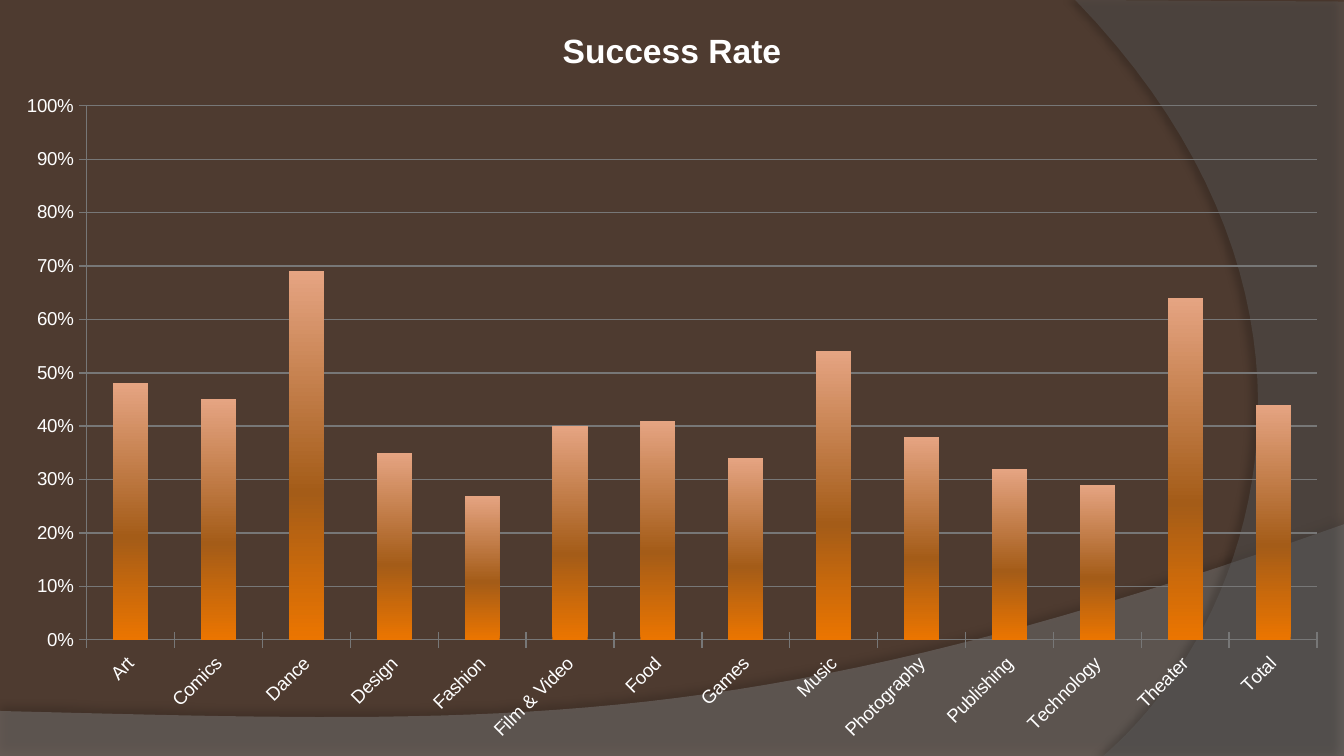
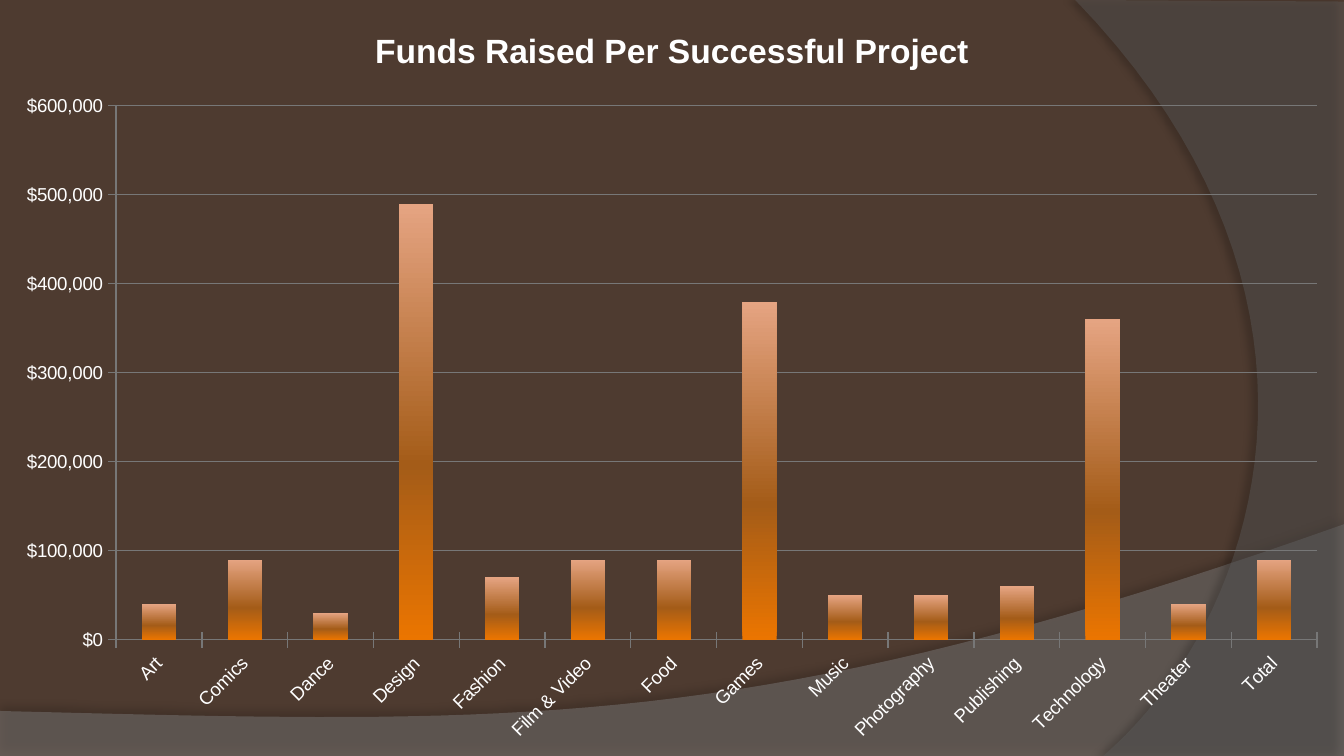
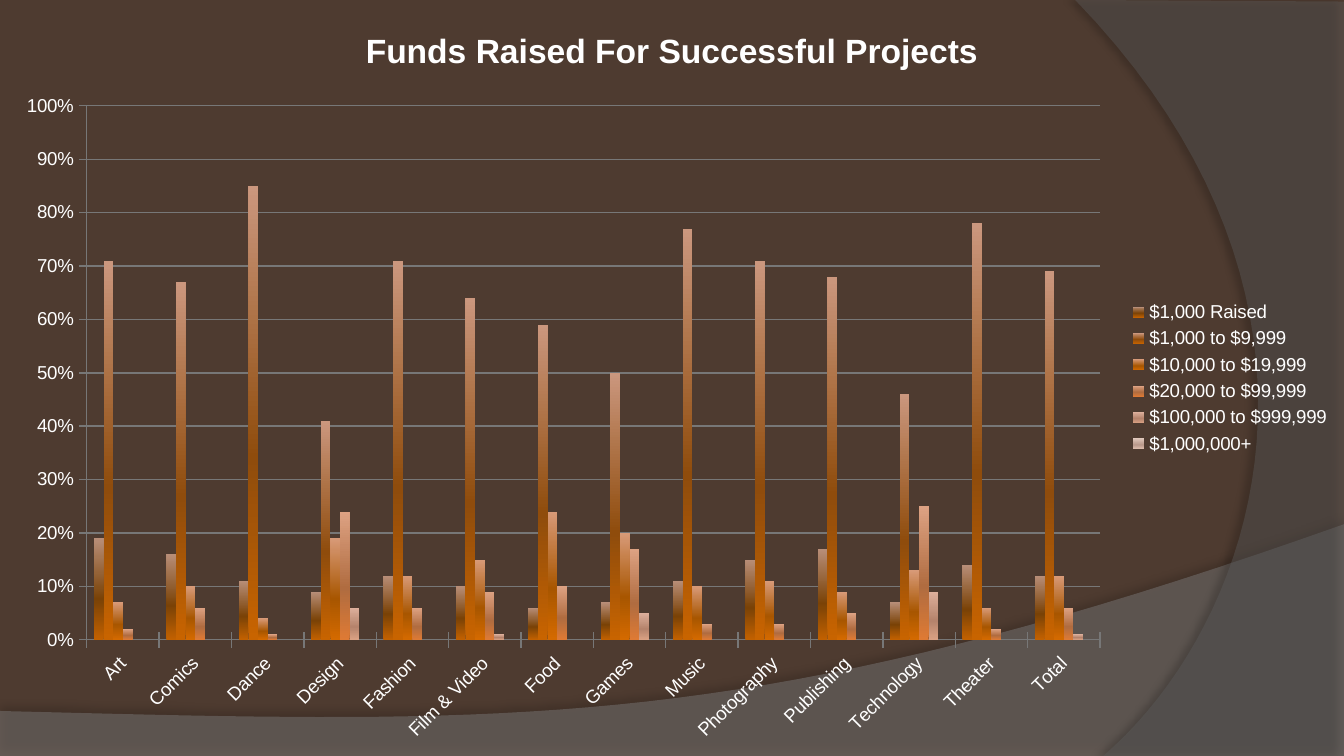
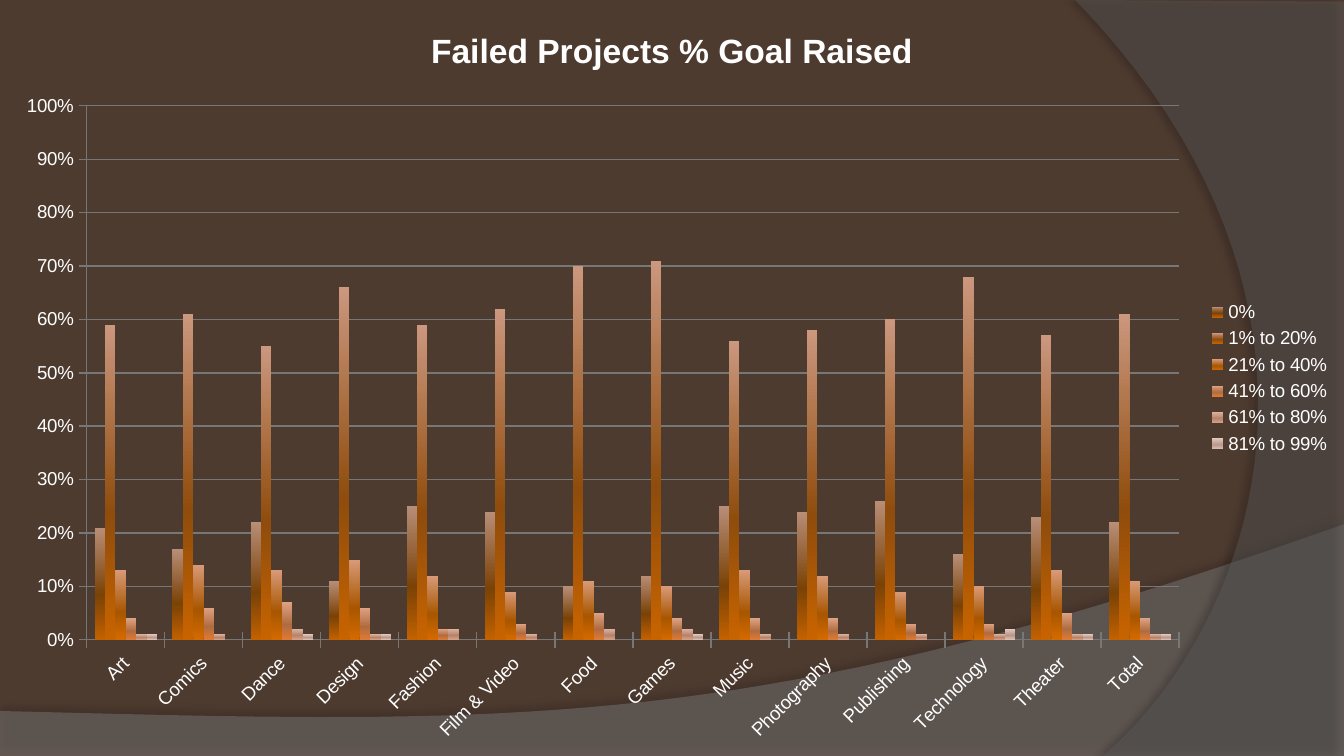
from copy import deepcopy
from dataclasses import dataclass

from pptx import Presentation
from pptx.chart.data import CategoryChartData
from pptx.dml.color import RGBColor
from pptx.enum.chart import XL_CHART_TYPE, XL_LEGEND_POSITION, XL_TICK_MARK
from pptx.oxml import parse_xml
from pptx.oxml.ns import nsdecls
from pptx.util import Cm, Pt


@dataclass(frozen=True)
class Theme:
    font: str = "Arial"
    title_size: int = 18
    label_size: int = 10
    background: str = "4E3B30"
    text: str = "FFFFFF"
    axis: str = "777777"
    wave: str = "7F7F7F"
    arc: str = "5E5E5E"
    shadow: str = "000000"
    single_bar: tuple = ("EB7500", "A45C18", "E5A482")
    grouped_bars: tuple = (
        ("C26100", "7A4206", "B88E78"),
        ("C86400", "8F4C0C", "CB977E"),
        ("D46A00", "A85600", "D89A78"),
        ("DE7A34", "B06C40", "DDA283"),
        ("D9A183", "B5836C", "DDB09C"),
        ("E0C0B0", "B8988A", "E0C8BC"),
    )


THEME = Theme()
WIDTH, HEIGHT = 25.4, 14.29
PERCENT, DOLLARS = "0%", '"$"#,##0'
CATEGORIES = ("Art", "Comics", "Dance", "Design", "Fashion", "Film & Video", "Food",
              "Games", "Music", "Photography", "Publishing", "Technology", "Theater", "Total")

SUCCESS_RATE = {
    "Success Rate": (0.48, 0.45, 0.69, 0.35, 0.27, 0.4, 0.41, 0.34, 0.54, 0.38, 0.32, 0.29, 0.64, 0.44),
}
FUNDS_PER_PROJECT = {
    "Series 1": (40000, 90000, 30000, 490000, 70000, 90000, 90000,
                 380000, 50000, 50000, 60000, 360000, 40000, 90000),
}
FUNDS_RAISED = {
    "$1,000 Raised": (0.19, 0.16, 0.11, 0.09, 0.12, 0.1, 0.06, 0.07, 0.11, 0.15, 0.17, 0.07, 0.14, 0.12),
    "$1,000 to $9,999": (0.71, 0.67, 0.85, 0.41, 0.71, 0.64, 0.59, 0.5, 0.77, 0.71, 0.68, 0.46, 0.78, 0.69),
    "$10,000 to $19,999": (0.07, 0.1, 0.04, 0.19, 0.12, 0.15, 0.24, 0.2, 0.1, 0.11, 0.09, 0.13, 0.06, 0.12),
    "$20,000 to $99,999": (0.02, 0.06, 0.01, 0.24, 0.06, 0.09, 0.1, 0.17, 0.03, 0.03, 0.05, 0.25, 0.02, 0.06),
    "$100,000 to $999,999": (0, 0, 0, 0.06, 0, 0.01, 0, 0.05, 0, 0, 0, 0.09, 0, 0.01),
    "$1,000,000+": (0,) * len(CATEGORIES),
}
GOAL_RAISED = {
    "0%": (0.21, 0.17, 0.22, 0.11, 0.25, 0.24, 0.1, 0.12, 0.25, 0.24, 0.26, 0.16, 0.23, 0.22),
    "1% to 20%": (0.59, 0.61, 0.55, 0.66, 0.59, 0.62, 0.7, 0.71, 0.56, 0.58, 0.6, 0.68, 0.57, 0.61),
    "21% to 40%": (0.13, 0.14, 0.13, 0.15, 0.12, 0.09, 0.11, 0.1, 0.13, 0.12, 0.09, 0.1, 0.13, 0.11),
    "41% to 60%": (0.04, 0.06, 0.07, 0.06, 0.02, 0.03, 0.05, 0.04, 0.04, 0.04, 0.03, 0.03, 0.05, 0.04),
    "61% to 80%": (0.01, 0.01, 0.02, 0.01, 0.02, 0.01, 0.02, 0.02, 0.01, 0.01, 0.01, 0.01, 0.01, 0.01),
    "81% to 99%": (0.01, 0, 0.01, 0.01, 0, 0, 0, 0.01, 0, 0, 0, 0.02, 0.01, 0.01),
}
CHART_SLIDES = (
    ("Success Rate", SUCCESS_RATE, PERCENT),
    ("Funds Raised Per Successful Project", FUNDS_PER_PROJECT, DOLLARS),
    ("Funds Raised For Successful Projects", FUNDS_RAISED, PERCENT),
    ("Failed Projects % Goal Raised", GOAL_RAISED, PERCENT),
)


def color(value):
    return RGBColor.from_string(value)


def bezier(start, first, second, end, steps=40):
    points = []
    for step in range(1, steps + 1):
        t = step / steps
        weights = ((1 - t) ** 3, 3 * t * (1 - t) ** 2, 3 * t * t * (1 - t), t ** 3)
        points.append(tuple(
            sum(weight * value for weight, value in zip(weights, values))
            for values in zip(start, first, second, end)))
    return points


def add_curved_band(slide, box, corners, curve, fill, opacity, shadow):
    left, top = box
    points = [(Cm(left + x), Cm(top + y)) for x, y in corners + bezier(corners[-1], *curve)]
    builder = slide.shapes.build_freeform(*points[0], scale=1.0)
    builder.add_line_segments(points[1:], close=True)
    shape = builder.convert_to_shape()
    shape.fill.solid()
    shape.fill.fore_color.rgb = color(fill)
    shape.line.fill.background()
    properties = shape._element.spPr
    properties.xpath("a:solidFill/a:srgbClr")[0].append(
        parse_xml(f'<a:alpha {nsdecls("a")} val="{opacity * 1000}"/>'))
    strength, distance, angle = shadow
    properties.append(parse_xml(
        f'<a:effectLst {nsdecls("a")}><a:outerShdw blurRad="{Pt(4)}" dist="{Pt(distance)}" '
        f'dir="{angle * 60000}" algn="ctr" rotWithShape="0"><a:srgbClr val="{THEME.shadow}">'
        f'<a:alpha val="{strength * 1000}"/></a:srgbClr></a:outerShdw></a:effectLst>'))
    return shape


def decorate_master(presentation, slide):
    master = presentation.slide_master
    master.background.fill.solid()
    master.background.fill.fore_color.rgb = color(THEME.background)
    wave = add_curved_band(
        slide, (0, 9.91), [(0, 3.53), (0, 4.38), (WIDTH, 4.38), (WIDTH, 0)],
        [(14.2, 3.98), (9.93, 3.78), (0, 3.53)], THEME.wave, 45, (35, 3.5, 270))
    arc = add_curved_band(
        slide, (20.32, 0), [(5.08, 0.03), (5.08, HEIGHT), (0.53, HEIGHT)],
        [(3.43, 11.79), (5.54, 5.72), (0, 0)], THEME.arc, 40, (45, 4, 180))
    for index, band in enumerate((wave, arc)):
        band._element.nvSpPr.cNvPr.set("id", str(100 + index))
        master.shapes._spTree.insert(2 + index, band._element)


def fill_bar(series, shades):
    fill = series.format.fill
    fill.gradient()
    fill.gradient_angle = 90
    stop_list = series._element.xpath("c:spPr/a:gradFill/a:gsLst")[0]
    stop_list.insert(1, deepcopy(stop_list[0]))
    for stop, shade, position in zip(fill.gradient_stops, shades, (0, 0.4, 1)):
        stop.color.rgb = color(shade)
        stop.position = position


def style_line(line):
    line.color.rgb = color(THEME.axis)
    line.width = Pt(0.75)


def style_font(font, size):
    font.name = THEME.font
    font.size = Pt(size)
    font.color.rgb = color(THEME.text)


def style_axes(chart, number_format):
    value_axis, category_axis = chart.value_axis, chart.category_axis
    for axis in (value_axis, category_axis):
        axis.major_tick_mark = XL_TICK_MARK.CROSS
        style_line(axis.format.line)
        style_font(axis.tick_labels.font, THEME.label_size)
    category_axis._element.xpath("c:txPr/a:bodyPr")[0].set("rot", str(-45 * 60000))
    value_axis.has_major_gridlines = True
    style_line(value_axis.major_gridlines.format.line)
    value_axis.tick_labels.number_format = number_format
    value_axis.tick_labels.number_format_is_linked = False
    if number_format == PERCENT:
        value_axis.minimum_scale, value_axis.maximum_scale = 0, 1


def add_column_chart(slide, box, title, series_values, number_format):
    chart_data = CategoryChartData(number_format=number_format)
    chart_data.categories = CATEGORIES
    for name, values in series_values.items():
        chart_data.add_series(name, values)
    chart = slide.shapes.add_chart(
        XL_CHART_TYPE.COLUMN_CLUSTERED, *map(Cm, box), chart_data).chart
    style_font(chart.font, THEME.label_size)
    chart._chartSpace.xpath("c:txPr")[0].addprevious(parse_xml(
        f'<c:spPr {nsdecls("c", "a")}><a:noFill/><a:ln><a:noFill/></a:ln></c:spPr>'))

    chart.has_title = True
    chart.chart_title.include_in_layout = False
    title_frame = chart.chart_title.text_frame
    title_frame.text = title
    title_font = title_frame.paragraphs[0].runs[0].font
    style_font(title_font, THEME.title_size)
    title_font.bold = True

    style_axes(chart, number_format)
    plot = chart.plots[0]
    plot.gap_width = 150
    plot.vary_by_categories = False
    grouped = len(series_values) > 1
    palette = THEME.grouped_bars if grouped else (THEME.single_bar,)
    for series, shades in zip(plot.series, palette):
        fill_bar(series, shades)
    chart.has_legend = grouped
    if grouped:
        chart.legend.position = XL_LEGEND_POSITION.RIGHT
        chart.legend.include_in_layout = False
        style_font(chart.legend.font, THEME.label_size)


def main():
    presentation = Presentation()
    presentation.slide_width, presentation.slide_height = Cm(WIDTH), Cm(HEIGHT)
    blank = presentation.slide_layouts[6]
    for index, content in enumerate(CHART_SLIDES):
        slide = presentation.slides.add_slide(blank)
        if index == 0:
            decorate_master(presentation, slide)
        add_column_chart(slide, (0, 0, WIDTH, HEIGHT), *content)
    presentation.save("out.pptx")


if __name__ == "__main__":
    main()
